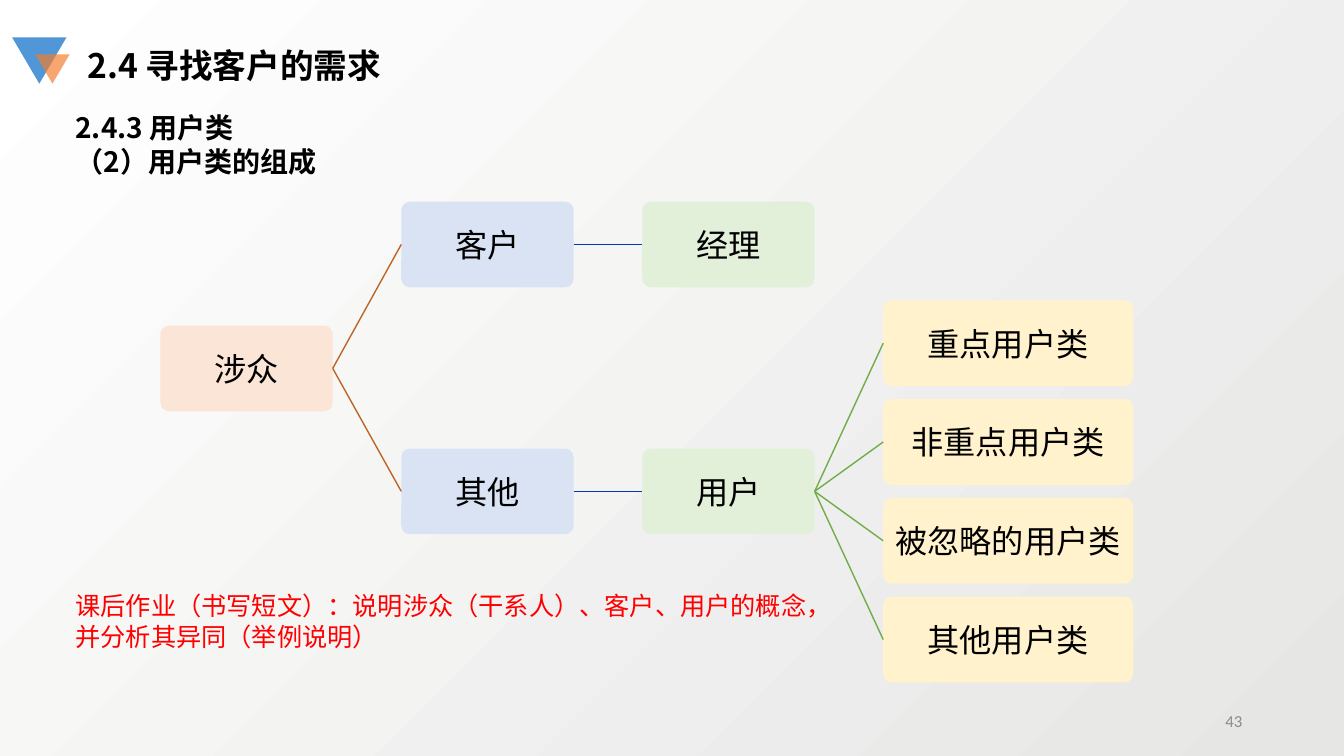
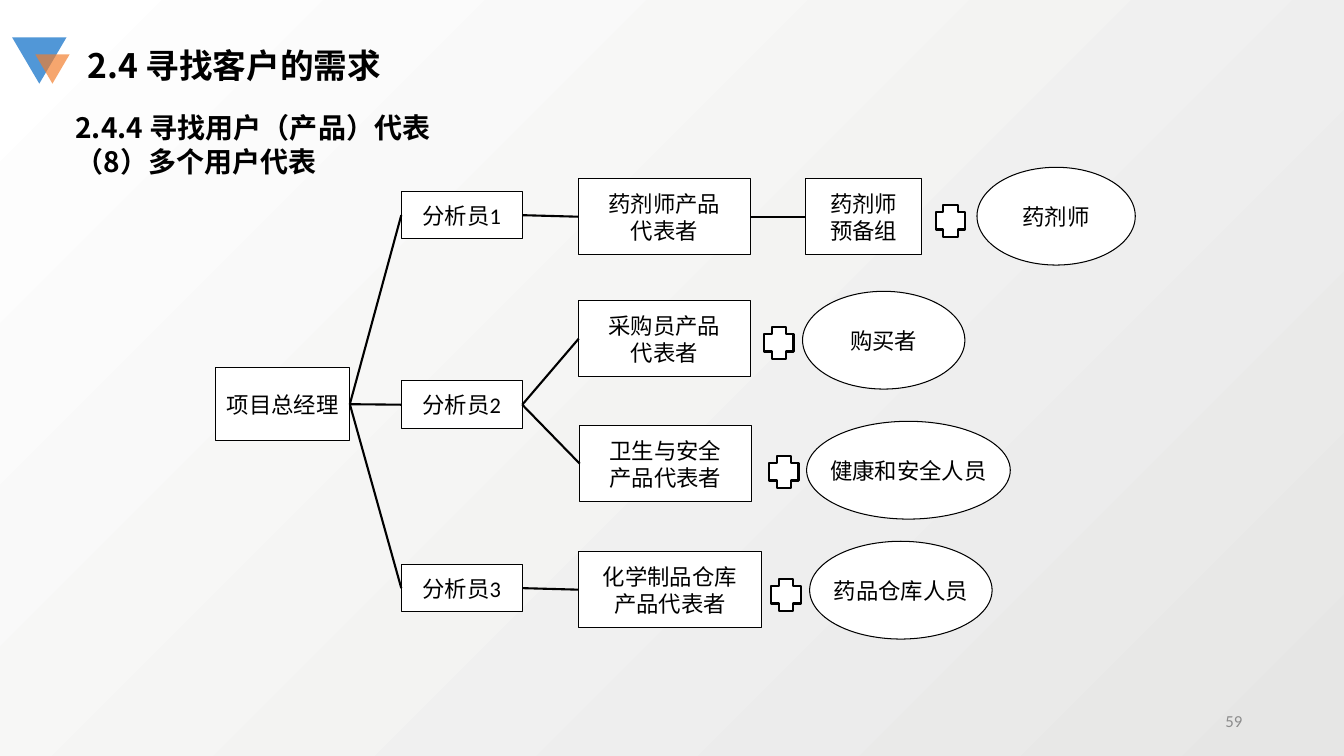
from dataclasses import dataclass

from lxml import etree
from pptx import Presentation, presentation as pr, slide as sl, util as u
from pptx.dml.color import RGBColor
from pptx.enum import shapes, text
from pptx.oxml.ns import qn
from pptx.shapes.autoshape import Shape
from pptx.text.text import TextFrame

PX = 9144
FORM = shapes.MSO_SHAPE
LEFT, MID, RIGHT = text.PP_ALIGN.LEFT, text.PP_ALIGN.CENTER, text.PP_ALIGN.RIGHT


@dataclass(frozen=True)
class Theme:
    sans: str = "Calibri"
    han: str = "Noto Sans CJK SC"
    black: str = "000000"
    white: str = "FFFFFF"
    shade: str = "E6E6E5"
    gray: str = "8C8C8C"
    red: str = "FF0000"
    sky: str = "5197D7"
    orange: str = "F37D2A"
    peach: str = "FBE5D6"
    ice: str = "DAE3F3"
    mint: str = "E2F0D9"
    cream: str = "FFF2CC"
    rust: str = "BE6427"
    navy: str = "0039B3"
    leaf: str = "70AD47"
    title: int = 24
    head: int = 20
    note: int = 18
    card: int = 23
    node: int = 16
    page: int = 12
    pitch: float = 1.2


T = Theme()


@dataclass(frozen=True)
class Box:
    x: int
    y: int
    w: int
    h: int

    def emu(self) -> tuple[u.Emu, ...]:
        return tuple(u.Emu(n * PX) for n in (self.x, self.y, self.w, self.h))


@dataclass(frozen=True)
class Type:
    size: int
    face: str = T.sans
    hue: str = T.black
    bold: bool = False
    align: text.PP_ALIGN = LEFT


@dataclass(frozen=True)
class Node:
    key: str
    box: Box
    words: str
    fill: str = T.white
    form: FORM = FORM.RECTANGLE


@dataclass(frozen=True)
class Link:
    start: str
    ends: tuple[str, ...]
    hue: str = T.black


@dataclass(frozen=True)
class Look:
    type: Type
    edge: float
    wire: float
    inset: int


CARD = Look(Type(T.card, align=MID), 0, 1, 4)
PLAIN = Look(Type(T.node, align=MID), 0.75, 1.5, 10)


def rgb(hue: str) -> RGBColor:
    return RGBColor.from_string(hue)


def write(frame: TextFrame, words: str, kind: Type) -> None:
    for i, line in enumerate(words.split("\n")):
        para = frame.paragraphs[0] if i == 0 else frame.add_paragraph()
        para.alignment = kind.align
        para.line_spacing = u.Pt(round(kind.size * T.pitch, 1))
        run = para.add_run()
        run.text = line
        font = run.font
        font.size, font.bold, font.name = u.Pt(kind.size), kind.bold, kind.face
        font.color.rgb = rgb(kind.hue)
        east = etree.SubElement(run._r.get_or_add_rPr(), qn("a:ea"))
        east.set("typeface", T.han)


def label(page: sl.Slide, box: Box, words: str, kind: Type) -> TextFrame:
    frame = page.shapes.add_textbox(*box.emu()).text_frame
    frame.word_wrap = True
    write(frame, words, kind)
    return frame


def draw(pool, form: FORM, box: Box, fill: str, edge: float = 0) -> Shape:
    shape = pool.add_shape(form, *box.emu())
    shape.shadow.inherit = False
    shape.fill.solid()
    shape.fill.fore_color.rgb = rgb(fill)
    if edge:
        shape.line.color.rgb = rgb(T.black)
        shape.line.width = u.Pt(edge)
    else:
        shape.line.fill.background()
    return shape


def card(page: sl.Slide, node: Node, look: Look) -> Shape:
    shape = draw(page.shapes, node.form, node.box, node.fill, look.edge)
    if node.form == FORM.ROUNDED_RECTANGLE:
        shape.adjustments[0] = 0.1
    frame = shape.text_frame
    frame.word_wrap = False
    frame.vertical_anchor = text.MSO_ANCHOR.MIDDLE
    frame.margin_left = frame.margin_right = u.Emu(look.inset * PX)
    frame.margin_top = frame.margin_bottom = u.Emu(4 * PX)
    write(frame, node.words, look.type)
    return shape


def join(page: sl.Slide, start: Shape, end: Shape, hue: str, width: float) -> None:
    wire = page.shapes.add_connector(shapes.MSO_CONNECTOR.STRAIGHT, 0, 0, 0, 0)
    wire.begin_connect(start, 3)
    wire.end_connect(end, 1)
    wire.line.color.rgb = rgb(hue)
    wire.line.width = u.Pt(width)
    etree.SubElement(wire._element.spPr, qn("a:effectLst"))


def graph(page: sl.Slide, nodes: list[Node], links: list[Link], look: Look) -> None:
    made = {node.key: card(page, node, look) for node in nodes}
    for link in links:
        for end in link.ends:
            join(page, made[link.start], made[end], link.hue, look.wire)


def base(deck: pr.Presentation, head: str, count: int) -> sl.Slide:
    page = deck.slides.add_slide(deck.slide_layouts[6])
    mark = page.shapes.add_group_shape().shapes
    big = draw(mark, FORM.ISOSCELES_TRIANGLE, Box(12, 37, 54, 46), T.sky)
    small = draw(mark, FORM.ISOSCELES_TRIANGLE, Box(35, 54, 34, 29), T.orange)
    big.rotation = small.rotation = 180
    tint = small._element.spPr.find(".//" + qn("a:srgbClr"))
    etree.SubElement(tint, qn("a:alpha")).set("val", "68000")
    label(page, Box(77, 40, 578, 50), "2.4 寻找客户的需求", Type(T.title, T.han, bold=True))
    label(page, Box(65, 105, 919, 77), head, Type(T.head, T.han, bold=True))
    foot = label(page, Box(942, 695, 300, 40), str(count), Type(T.page, hue=T.gray, align=RIGHT))
    foot.vertical_anchor = text.MSO_ANCHOR.MIDDLE
    return page


def users(deck: pr.Presentation) -> None:
    page = base(deck, "2.4.3 用户类\n（2）用户类的组成", 43)

    def tile(key: str, col: int, y: int, fill: str, wide: int = 171) -> Node:
        return Node(key, Box(159 + 239 * col, y, wide, 85), key, fill, FORM.ROUNDED_RECTANGLE)

    kinds = ("重点用户类", "非重点用户类", "被忽略的用户类", "其他用户类")
    nodes = [
        tile("涉众", 0, 323, T.peach),
        tile("客户", 1, 200, T.ice),
        tile("经理", 2, 200, T.mint),
        tile("其他", 1, 445, T.ice),
        tile("用户", 2, 445, T.mint),
    ]
    nodes += [tile(kind, 3, 298 + 98 * i, T.cream, 248) for i, kind in enumerate(kinds)]
    links = [
        Link("涉众", ("客户", "其他"), T.rust),
        Link("客户", ("经理",), T.navy),
        Link("其他", ("用户",), T.navy),
        Link("用户", kinds, T.leaf),
    ]
    graph(page, nodes, links, CARD)
    label(
        page,
        Box(65, 581, 800, 71),
        "课后作业（书写短文）：说明涉众（干系人）、客户、用户的概念，\n并分析其异同（举例说明）",
        Type(T.note, T.han, hue=T.red),
    )


def agents(deck: pr.Presentation) -> None:
    page = base(deck, "2.4.4 寻找用户（产品）代表\n（8）多个用户代表", 59)

    def oval(words: str, x: int, y: int, wide: int) -> Node:
        return Node(words, Box(x, y, wide, 97), words, form=FORM.OVAL)

    nodes = [Node("lead", Box(214, 365, 133, 72), "项目总经理")]
    nodes += [
        Node(f"staff{i}", Box(398, y, 120, 47), f"分析员{i}")
        for i, y in enumerate((190, 378, 560), 1)
    ]
    nodes += [
        Node("drug", Box(574, 177, 170, 76), "药剂师产品\n代表者"),
        Node("buy", Box(574, 298, 170, 76), "采购员产品\n代表者"),
        Node("safe", Box(575, 422, 170, 76), "卫生与安全\n产品代表者"),
        Node("store", Box(574, 547, 181, 76), "化学制品仓库\n产品代表者"),
        Node("team", Box(799, 177, 115, 76), "药剂师\n预备组"),
        oval("药剂师", 969, 166, 157),
        oval("购买者", 796, 289, 161),
        oval("健康和安全人员", 800, 418, 202),
        oval("药品仓库人员", 803, 537, 181),
    ]
    links = [
        Link("lead", ("staff1", "staff2", "staff3")),
        Link("staff1", ("drug",)),
        Link("staff2", ("buy", "safe")),
        Link("staff3", ("store",)),
        Link("drug", ("team",)),
    ]
    graph(page, nodes, links, PLAIN)
    for x, y in ((928, 203), (758, 324), (763, 452), (765, 574)):
        draw(page.shapes, FORM.CROSS, Box(x, y, 29, 32), T.white, PLAIN.wire)


def main() -> None:
    deck = Presentation()
    deck.slide_width, deck.slide_height = u.Emu(1333 * PX), u.Emu(750 * PX)
    back = deck.slide_master.background.fill
    back.gradient()
    back.gradient_angle = 135
    for stop, hue in zip(back.gradient_stops, (T.shade, T.white)):
        stop.color.rgb = rgb(hue)
    users(deck)
    agents(deck)
    deck.save("out.pptx")


if __name__ == "__main__":
    main()
